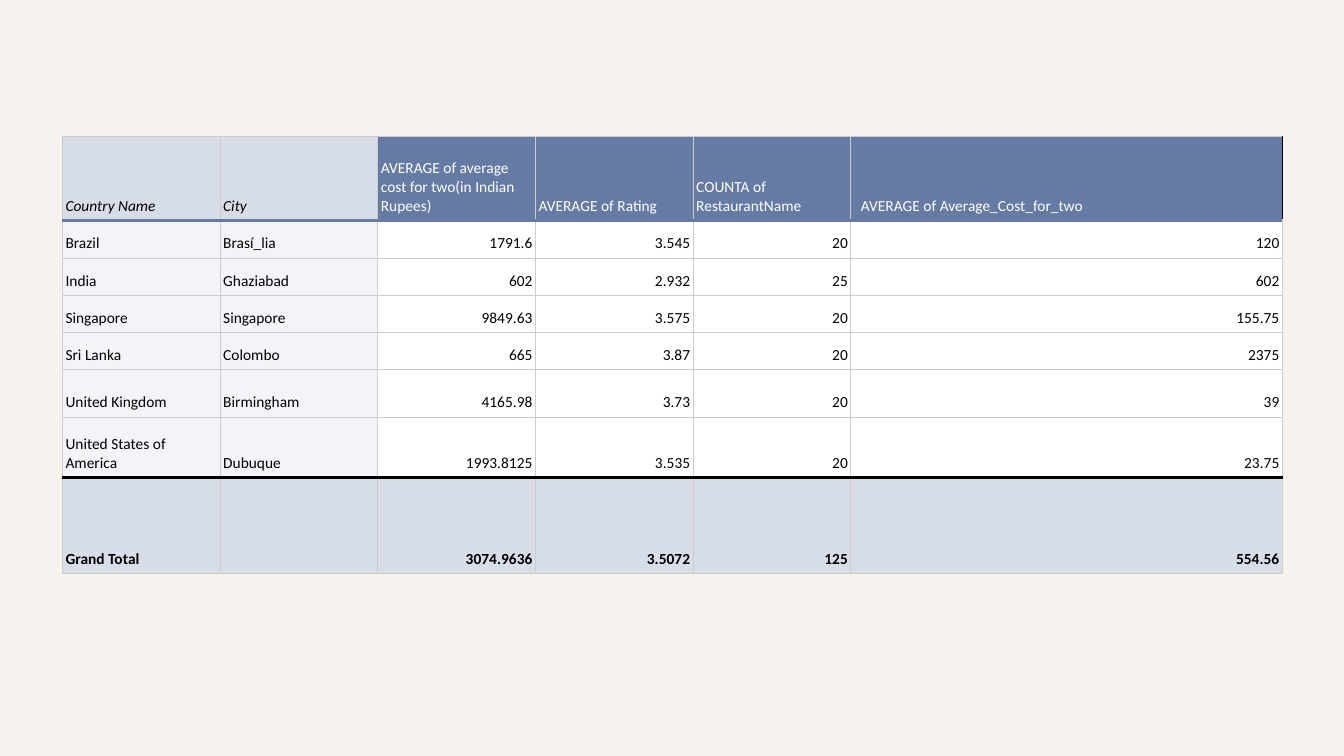
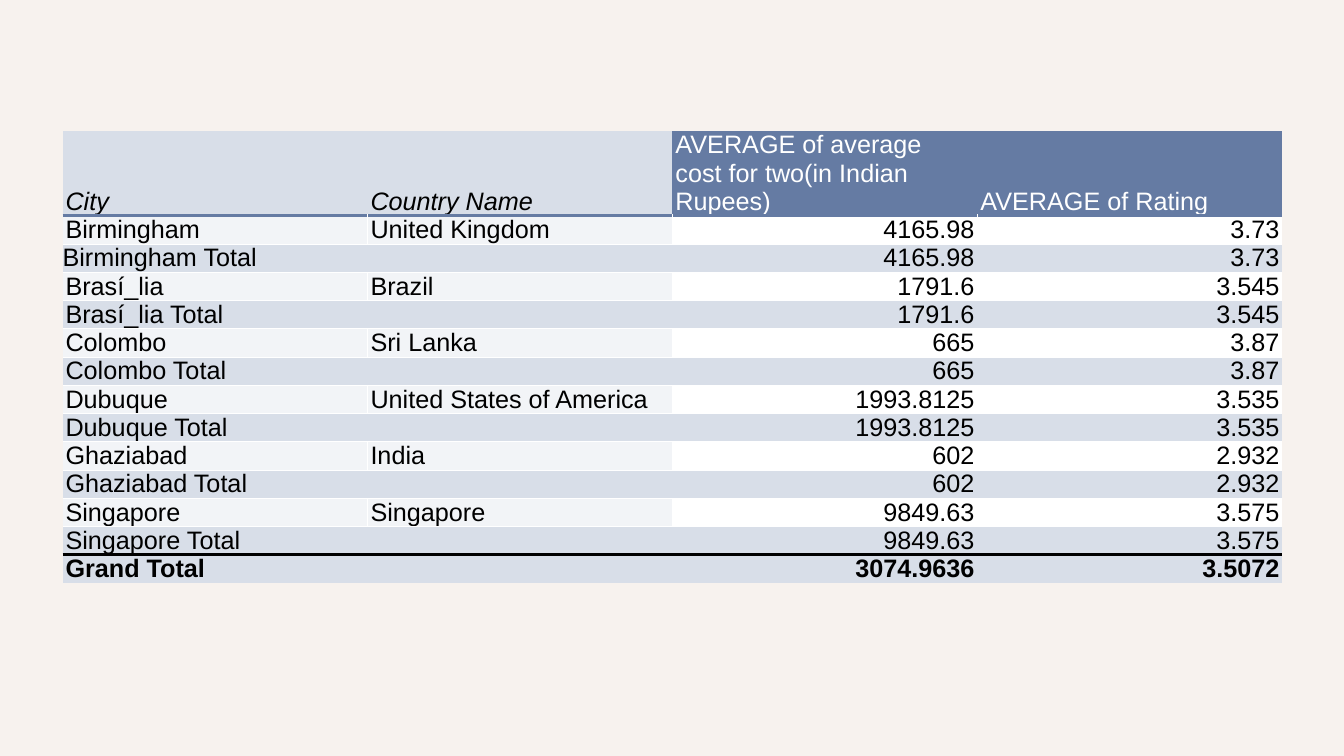
from dataclasses import dataclass
from typing import Callable, NamedTuple, Optional

from lxml.etree import SubElement
from pptx import Presentation
from pptx.dml.color import RGBColor
from pptx.enum.text import MSO_VERTICAL_ANCHOR as Anchor, PP_PARAGRAPH_ALIGNMENT as Align
from pptx.oxml.ns import qn
from pptx.util import Inches, Pt

COLORS = {
    "background": "F7F2EE",
    "blue": "657BA3",
    "pale_blue": "D8DEE8",
    "label": "F2F4F7",
    "grid": "CCCCCC",
    "white": "FFFFFF",
    "black": "000000",
}
NO_STYLE = "{2D5ABB26-0587-4C30-8999-92F81FD0307C}"
TABLE_LEFT, TABLE_WIDTH = 0.62, 12.1
LABEL_COLUMNS = 2


# Data
class City(NamedTuple):
    country: str
    city: str
    rupees: str
    rating: str
    count: str
    cost: str


class Row(NamedTuple):
    kind: str  # header, detail, subtotal or total
    texts: tuple[str, ...]


class Line(NamedTuple):
    color: str
    width: float = 0.75


CITIES = [
    City("Brazil", "Brasí_lia", "1791.6", "3.545", "20", "120"),
    City("India", "Ghaziabad", "602", "2.932", "25", "602"),
    City("Singapore", "Singapore", "9849.63", "3.575", "20", "155.75"),
    City("Sri Lanka", "Colombo", "665", "3.87", "20", "2375"),
    City("United Kingdom", "Birmingham", "4165.98", "3.73", "20", "39"),
    City("United States of America", "Dubuque", "1993.8125", "3.535", "20", "23.75"),
]
HEADER = City("Country Name", "City", "AVERAGE of average cost for two(in Indian Rupees)",
              "AVERAGE of Rating", "COUNTA of RestaurantName",
              "AVERAGE of Average_Cost_for_two")
TOTAL = City("Grand Total", "", "3074.9636", "3.5072", "125", "554.56")

GRID, WHITE = Line("grid"), Line("white")
HEADER_RULE, TOTAL_RULE = Line("blue", 2.25), Line("black", 2.25)


@dataclass
class TableSpec:
    top: float
    height: float
    columns: list[float]
    heights: list[float]
    rows: list[Row]
    font: str
    size: int
    margin_y: float
    # Line above the given row index, and line left of a column in a row
    horizontal: Callable[[int], Optional[Line]]
    vertical: Callable[[Row, int], Optional[Line]]


# Drawing
def set_border(cell, side: str, line: Optional[Line]) -> None:
    if line is None:
        return
    properties = cell._tc.get_or_add_tcPr()
    border = SubElement(properties, qn(f"a:ln{side}"), w=str(Pt(line.width)))
    fill = SubElement(border, qn("a:solidFill"))
    SubElement(fill, qn("a:srgbClr"), val=COLORS[line.color])


def cell_fill(kind: str, column: int) -> str:
    if kind in ("subtotal", "total"):
        return "pale_blue"
    is_label = column < LABEL_COLUMNS
    if kind == "header":
        return "pale_blue" if is_label else "blue"
    return "label" if is_label else "white"


def write_text(cell, spec: TableSpec, row: Row, column: int) -> None:
    is_label = column < LABEL_COLUMNS
    is_header = row.kind == "header"
    paragraph = cell.text_frame.paragraphs[0]
    paragraph.alignment = Align.LEFT if is_label or is_header else Align.RIGHT
    if not row.texts[column]:
        # An empty cell keeps the row height of the table's font
        end = SubElement(paragraph._p, qn("a:endParaRPr"), sz=str(spec.size * 100))
        SubElement(end, qn("a:latin"), typeface=spec.font)
        return
    run = paragraph.add_run()
    run.text = row.texts[column]
    formats = {
        "name": spec.font,
        "size": Pt(spec.size),
        "italic": is_header and is_label,
        "bold": row.kind == "total",
    }
    for name, value in formats.items():
        setattr(run.font, name, value)
    color = "white" if is_header and not is_label else "black"
    run.font.color.rgb = RGBColor.from_string(COLORS[color])


def set_margins(cell, x: float, y: float) -> None:
    margins = {"margin_left": x, "margin_right": x, "margin_top": y, "margin_bottom": y}
    for name, value in margins.items():
        setattr(cell, name, Inches(value))


def draw_table(slide, spec: TableSpec):
    shape = slide.shapes.add_table(
        len(spec.rows), len(spec.columns), Inches(TABLE_LEFT), Inches(spec.top),
        Inches(TABLE_WIDTH), Inches(spec.height))
    table = shape.table
    table._tbl.tblPr.find(qn("a:tableStyleId")).text = NO_STYLE
    table.first_row = table.horz_banding = False
    for column, width in zip(table.columns, spec.columns):
        column.width = Inches(width)
    for table_row, height in zip(table.rows, spec.heights):
        table_row.height = Inches(height)
    shape.height = Inches(spec.height)

    for index, row in enumerate(spec.rows):
        for column in range(len(spec.columns)):
            cell = table.cell(index, column)
            cell.vertical_anchor = Anchor.BOTTOM
            set_margins(cell, 0.03, spec.margin_y)
            set_border(cell, "L", spec.vertical(row, column))
            set_border(cell, "R", spec.vertical(row, column + 1))
            set_border(cell, "T", spec.horizontal(index))
            set_border(cell, "B", spec.horizontal(index + 1))
            cell.fill.solid()
            cell.fill.fore_color.rgb = RGBColor.from_string(
                COLORS[cell_fill(row.kind, column)])
            write_text(cell, spec, row, column)
    return table


# Slide 1: one row per country
def add_country_slide(presentation) -> None:
    rows = [Row("header", HEADER), *(Row("detail", city) for city in CITIES),
            Row("total", TOTAL)]
    last_width = 4.28
    narrow = (TABLE_WIDTH - last_width) / 5
    rules = {1: HEADER_RULE, len(rows) - 1: TOTAL_RULE}

    def vertical(row: Row, column: int) -> Line:
        is_header_end = row.kind == "header" and column == len(HEADER)
        return Line("black") if is_header_end else GRID

    slide = presentation.slides.add_slide(presentation.slide_layouts[6])
    table = draw_table(slide, TableSpec(
        top=1.35, height=4.33, columns=[narrow] * 5 + [last_width],
        heights=[0.84] + [0.37] * 4 + [0.47, 0.6, 0.95], rows=rows,
        font="Calibri", size=11, margin_y=0.05,
        horizontal=lambda index: rules.get(index, GRID), vertical=vertical))
    set_margins(table.cell(0, len(HEADER) - 1), 0.1, 0.05)


# Slide 2: each city with its subtotal
def add_city_slide(presentation) -> None:
    rows = [Row("header", (HEADER.city, HEADER.country, HEADER.rupees, HEADER.rating))]
    for city in sorted(CITIES, key=lambda item: item.city):
        values = (city.rupees, city.rating)
        rows.append(Row("detail", (city.city, city.country, *values)))
        rows.append(Row("subtotal", (f"{city.city} Total", "", *values)))
    rows.append(Row("total", TOTAL[:4]))
    rules = {1: HEADER_RULE, len(rows) - 1: TOTAL_RULE}

    def horizontal(index: int) -> Optional[Line]:
        below_detail = index > 0 and rows[index - 1].kind == "detail"
        return rules.get(index, WHITE if below_detail else None)

    def vertical(row: Row, column: int) -> Optional[Line]:
        return WHITE if row.kind == "detail" and column in (1, 2) else None

    slide = presentation.slides.add_slide(presentation.slide_layouts[6])
    table = draw_table(slide, TableSpec(
        top=1.3, height=4.5, columns=[TABLE_WIDTH / 4] * 4,
        heights=[0.21] * len(rows), rows=rows, font="Arial", size=18, margin_y=0,
        horizontal=horizontal, vertical=vertical))
    set_margins(table.cell(2, 0), 0, 0)


def main() -> None:
    presentation = Presentation()
    presentation.slide_width = Inches(13.33)
    presentation.slide_height = Inches(7.5)
    background = presentation.slide_master.background.fill
    background.solid()
    background.fore_color.rgb = RGBColor.from_string(COLORS["background"])
    add_country_slide(presentation)
    add_city_slide(presentation)
    presentation.save("out.pptx")


if __name__ == "__main__":
    main()
